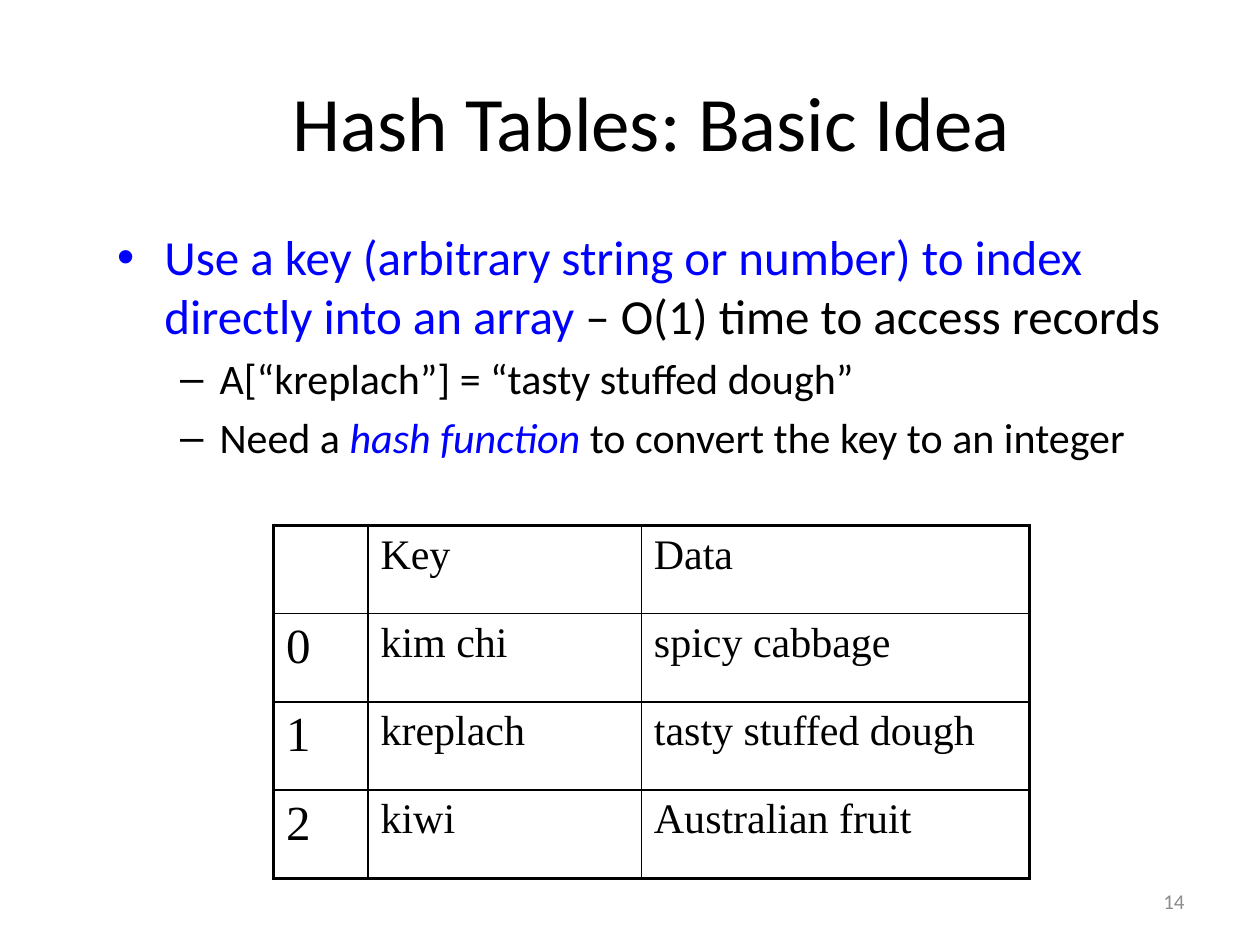
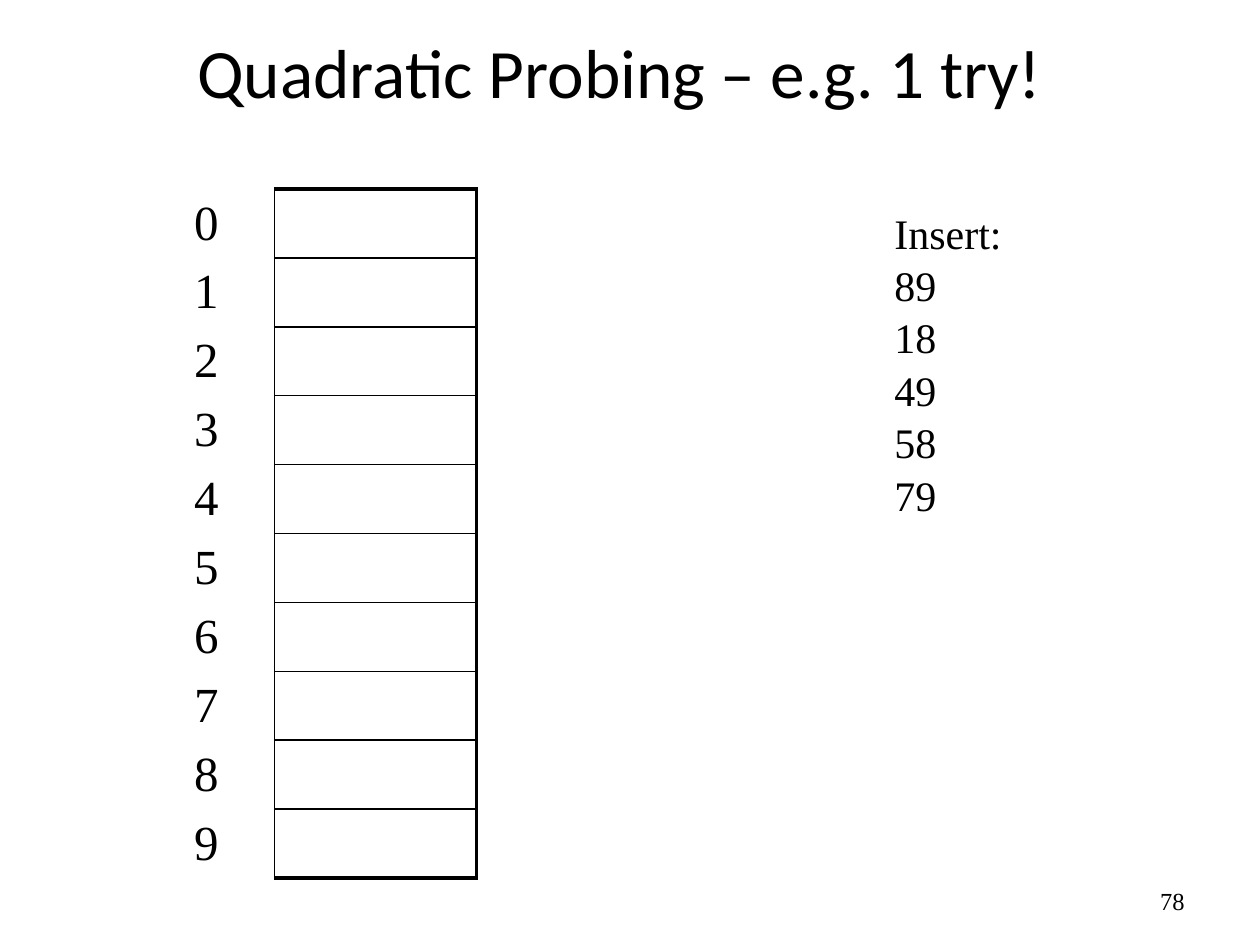
"""Builds two hash table slides: the basic idea and a quadratic probing exercise."""
import pptx
import pptx.dml.color
import pptx.enum.text
import pptx.oxml
import pptx.oxml.ns
import pptx.util

Inches = pptx.util.Inches
Pt = pptx.util.Pt
ALIGN = pptx.enum.text.PP_ALIGN
ANCHOR = pptx.enum.text.MSO_ANCHOR

COLORS = {"text": "000000", "accent": "0000FF", "muted": "8C8C8C"}
SANS, SERIF = "Calibri", "Times New Roman"
TITLE_AND_BODY, TITLE_ONLY = 1, 5
THIN, THICK = 1, 2.25


def rgb(color):
    return pptx.dml.color.RGBColor.from_string(COLORS[color])


class Deck:
    def __init__(self):
        self.presentation = pptx.Presentation()
        self.presentation.slide_width = Inches(10)
        self.presentation.slide_height = Inches(7.5)
        self.slide = None

    def new_slide(self, layout):
        layouts = self.presentation.slide_layouts
        self.slide = self.presentation.slides.add_slide(layouts[layout])

    def style(self, paragraph, size, face, color="text"):
        paragraph.font.size = Pt(size)
        paragraph.font.name = face
        if color:
            paragraph.font.color.rgb = rgb(color)

    def place(self, shape, at):
        shape.left, shape.top, shape.width, shape.height = map(Inches, at)
        shape.text_frame.word_wrap = True
        shape.text_frame.auto_size = pptx.enum.text.MSO_AUTO_SIZE.NONE

    def title(self, text, at, size):
        heading = self.slide.shapes.title
        self.place(heading, at)
        heading.text_frame.vertical_anchor = ANCHOR.MIDDLE
        paragraph = heading.text_frame.paragraphs[0]
        paragraph.text = text
        paragraph.alignment = ALIGN.CENTER
        self.style(paragraph, size, SANS)

    def bullets(self, items, at):
        body = self.slide.placeholders[1]
        self.place(body, at)
        frame = body.text_frame
        for index, (level, size, runs) in enumerate(items):
            paragraph = frame.add_paragraph() if index else frame.paragraphs[0]
            paragraph.level = level
            if index == 0:
                paragraph.space_before = Pt(0)
            self.style(paragraph, size, SANS, None)
            for text, color, italic in runs:
                run = paragraph.add_run()
                run.text = text
                run.font.color.rgb = rgb(color)
                if italic:
                    run.font.italic = True

    def text(self, lines, at, size, face, color="text", align=ALIGN.LEFT,
             anchor=ANCHOR.TOP, spacing=1.0):
        box = self.slide.shapes.add_textbox(*map(Inches, at))
        frame = box.text_frame
        frame.word_wrap = True
        frame.vertical_anchor = anchor
        frame.text = "\n".join(lines)
        for paragraph in frame.paragraphs:
            paragraph.alignment = align
            paragraph.line_spacing = spacing
            self.style(paragraph, size, face, color)

    def page_number(self, number, size, face, color):
        self.text([str(number)], (7.17, 6.95, 2.33, 0.4), size, face, color,
                  ALIGN.RIGHT, ANCHOR.MIDDLE)

    def borders(self, cell, weights):
        properties = cell._tc.get_or_add_tcPr()
        namespace = pptx.oxml.ns.nsdecls("a")
        for side, weight in zip("LRTB", weights):
            paint = (f'<a:solidFill><a:srgbClr val="{COLORS["text"]}"/></a:solidFill>'
                     if weight else "<a:noFill/>")
            properties.append(pptx.oxml.parse_xml(
                f'<a:ln{side} {namespace} w="{Pt(weight)}">{paint}</a:ln{side}>'))

    def table(self, rows, left, top, widths, row_height, first_boxed=0,
              left_edge=THICK, anchor=ANCHOR.TOP, inset=0.05):
        """Draws a grid with a thick outline from column first_boxed onwards."""
        last_row, last_column = len(rows) - 1, len(widths) - 1
        grid = self.slide.shapes.add_table(
            len(rows), len(widths), Inches(left), Inches(top),
            Inches(sum(widths)), Inches(row_height * len(rows))).table
        grid.first_row = grid.horz_banding = False
        for column, width in zip(grid.columns, widths):
            column.width = Inches(width)
        for r, values in enumerate(rows):
            grid.rows[r].height = Inches(row_height)
            for c, value in enumerate(values):
                cell = grid.cell(r, c)
                cell.vertical_anchor = anchor
                cell.margin_top = cell.margin_bottom = Inches(inset)
                if c < first_boxed:
                    weights = (0, left_edge if c + 1 == first_boxed else 0, 0, 0)
                else:
                    weights = (left_edge if c == first_boxed else THIN,
                               THICK if c == last_column else THIN,
                               THICK if r == 0 else THIN,
                               THICK if r == last_row else THIN)
                self.borders(cell, weights)
                cell.fill.background()
                if value:
                    cell.text = value
                    self.style(cell.text_frame.paragraphs[0], 24 if c else 28, SERIF)


def basic_idea(deck):
    deck.new_slide(TITLE_AND_BODY)
    deck.page_number(14, 12, SANS, "muted")
    deck.title("Hash Tables: Basic Idea", (0.92, 0.33, 8.5, 1.25), 44)
    deck.bullets([
        (0, 28, [("Use a key (arbitrary string or number) to index directly into an array",
                  "accent", False),
                 (" – O(1) time to access records", "text", False)]),
        (1, 24, [("A[“kreplach”] = “tasty stuffed dough”", "text", False)]),
        (1, 24, [("Need a ", "text", False), ("hash function", "accent", True),
                 (" to convert the key to an integer", "text", False)]),
    ], (0.83, 1.75, 8.5, 4.5))
    records = [("", "Key", "Data"), ("0", "kim chi", "spicy cabbage"),
               ("1", "kreplach", "tasty stuffed dough"), ("2", "kiwi", "Australian fruit")]
    deck.table(records, 2.17, 4.17, (0.75, 2.17, 3.08), 0.7)


def quadratic_probing(deck):
    deck.new_slide(TITLE_ONLY)
    deck.page_number(78, 14, SERIF, "text")
    deck.title("Quadratic Probing – e.g. 1 try!", (0.67, 0.19, 8.5, 0.75), 39.6)
    slots = [(str(slot), "") for slot in range(10)]
    deck.table(slots, 1.44, 1.5, (0.74, 1.6), 0.53, first_boxed=1,
               left_edge=THIN, anchor=ANCHOR.MIDDLE, inset=0.04)
    deck.text(["Insert:", "89", "18", "49", "58", "79"], (7, 1.58, 1.53, 2.5),
              24, SERIF, spacing=1.04)


def main():
    deck = Deck()
    basic_idea(deck)
    quadratic_probing(deck)
    deck.presentation.save("out.pptx")


if __name__ == "__main__":
    main()
